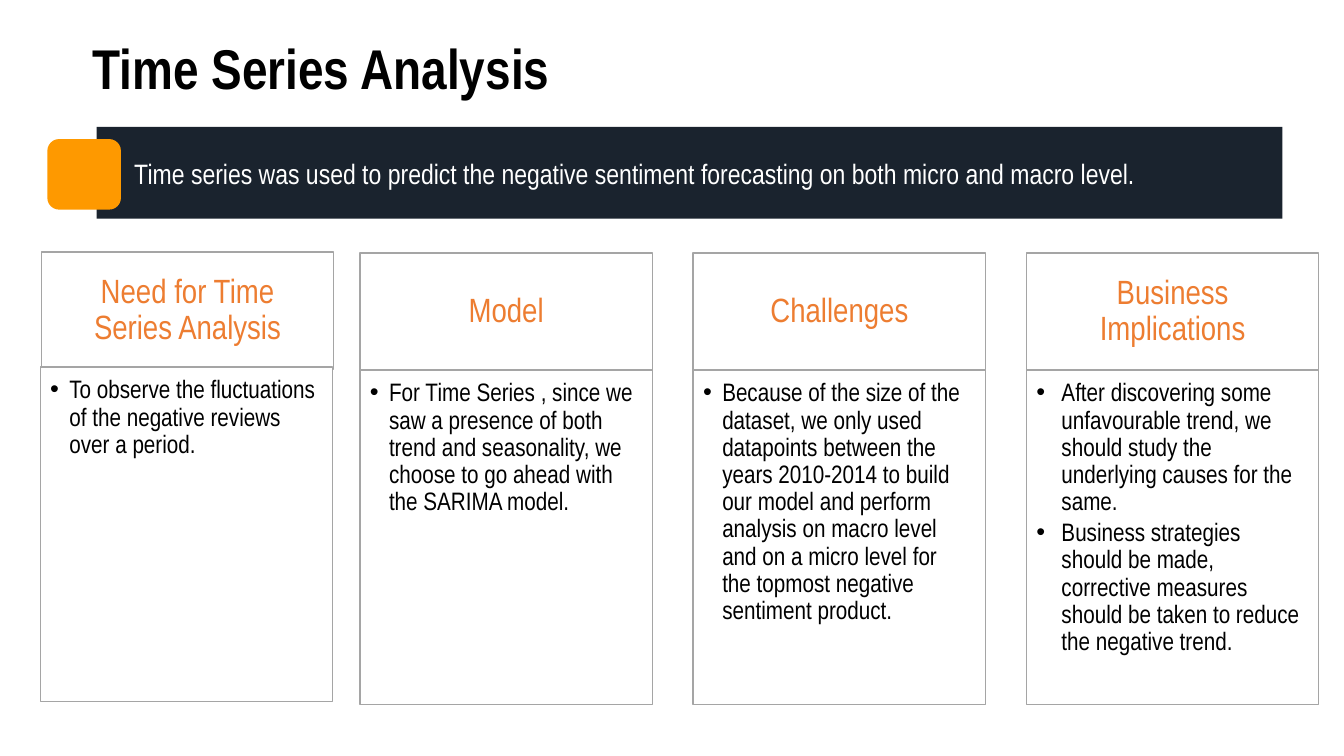
from lxml import etree
from pptx import Presentation
from pptx.dml.color import RGBColor
from pptx.enum.shapes import MSO_SHAPE
from pptx.enum.text import MSO_ANCHOR, PP_ALIGN
from pptx.oxml.ns import qn
from pptx.util import Inches, Pt

RECTANGLE, ROUNDED = MSO_SHAPE.RECTANGLE, MSO_SHAPE.ROUNDED_RECTANGLE
TOP, MIDDLE, BOTTOM = MSO_ANCHOR.TOP, MSO_ANCHOR.MIDDLE, MSO_ANCHOR.BOTTOM
LEFT, CENTER = PP_ALIGN.LEFT, PP_ALIGN.CENTER

TITLE = "Time Series Analysis"
SUMMARY = ("Time series was used to predict the negative sentiment forecasting "
           "on both micro and macro level.")
# heading, bullet points, bullet indent in inches
TOPICS = [
    ("Need for Time Series Analysis",
     ["To observe the fluctuations of the negative reviews over a period."], 0.19),
    ("Model",
     ["For Time Series , since we saw a presence of both trend and seasonality, "
      "we choose to go ahead with the SARIMA model."], 0.19),
    ("Challenges",
     ["Because of the size of the dataset, we only used datapoints between the "
      "years 2010-2014 to build our model and perform analysis on macro level "
      "and on a micro level for the topmost negative sentiment product."], 0.19),
    ("Business Implications",
     ["After discovering some unfavourable trend, we should study the underlying "
      "causes for the same.",
      "Business strategies should be made, corrective measures should be taken "
      "to reduce the negative trend."], 0.25),
]

COLORS = {"navy": "1A232E", "amber": "FE9900", "orange": "ED7D31",
          "grey": "A5A5A5", "white": "FFFFFF", "black": "000000"}
FONT = "Arial Narrow"
SLIDE_W, SLIDE_H = 13.33, 7.5

# Card grid: the first card stands slightly apart from the even pitch of the rest
CARD_W, HEAD_H, BODY_H = 2.9, 1.16, 3.32
CARD_TOP, SECOND_LEFT, PITCH = 2.51, 3.57, 3.305
FIRST_LEFT, FIRST_RISE = 0.41, 0.01
FIRST_BODY_SHIFT = (-0.01, -0.02)

TITLE_FORMAT = {"size": 40, "color": "black", "bold": True, "anchor": BOTTOM,
                "insets": (0, 0.05, 0, 0.05), "line_spacing": 0.9}
SUMMARY_FORMAT = {"size": 20, "color": "white"}
HEAD_FORMAT = {"size": 24, "color": "orange", "anchor": MIDDLE, "align": CENTER,
               "insets": (0.19, 0.11, 0.19, 0.11), "line_spacing": 0.9}
BODY_FORMAT = {"size": 18, "color": "black", "insets": (0.1, 0.1, 0.14, 0.16),
               "line_spacing": 0.9, "space_after": 2.7}


def rgb(name):
    return RGBColor.from_string(COLORS[name])


def add_bullet(paragraph, indent):
    props = paragraph._p.get_or_add_pPr()
    props.set("marL", str(Inches(indent)))
    props.set("indent", str(-Inches(indent)))
    etree.SubElement(props, qn("a:buFont")).set("typeface", "Arial")
    etree.SubElement(props, qn("a:buChar")).set("char", "•")


def write(shape, lines, size, color, bold=False, anchor=TOP, align=LEFT,
          insets=(0, 0, 0, 0), line_spacing=1.0, space_after=0, indent=None):
    frame = shape.text_frame
    frame_format = {"word_wrap": True, "vertical_anchor": anchor}
    for side, inset in zip(("left", "top", "right", "bottom"), insets):
        frame_format[f"margin_{side}"] = Inches(inset)
    for key, value in frame_format.items():
        setattr(frame, key, value)
    paragraph_format = {"alignment": align, "line_spacing": line_spacing,
                        "space_after": Pt(space_after)}
    font_format = {"name": FONT, "size": Pt(size), "bold": bold}
    for number, line in enumerate(lines):
        paragraph = frame.add_paragraph() if number else frame.paragraphs[0]
        if indent:
            add_bullet(paragraph, indent)
        for key, value in paragraph_format.items():
            setattr(paragraph, key, value)
        run = paragraph.add_run()
        run.text = line
        for key, value in font_format.items():
            setattr(run.font, key, value)
        run.font.color.rgb = rgb(color)


def add_block(slide, kind, place, fill, outline=None):
    block = slide.shapes.add_shape(kind, *map(Inches, place))
    block.shadow.inherit = False
    block.fill.solid()
    block.fill.fore_color.rgb = rgb(fill)
    if outline:
        block.line.color.rgb = rgb(outline)
        block.line.width = Pt(1)
    else:
        block.line.fill.background()
    return block


def add_text(slide, place, text, text_format):
    write(slide.shapes.add_textbox(*map(Inches, place)), [text], **text_format)


def add_card(slide, column, heading, points, indent):
    if column:
        left, top, shift = SECOND_LEFT + PITCH * (column - 1), CARD_TOP, (0, 0)
    else:
        left, top, shift = FIRST_LEFT, CARD_TOP - FIRST_RISE, FIRST_BODY_SHIFT
    head = add_block(slide, RECTANGLE, (left, top, CARD_W, HEAD_H), "white", "grey")
    write(head, [heading], **HEAD_FORMAT)
    body_place = (left + shift[0], top + HEAD_H + shift[1], CARD_W, BODY_H)
    body = add_block(slide, RECTANGLE, body_place, "white", "grey")
    write(body, points, indent=indent, **BODY_FORMAT)


def main():
    deck = Presentation()
    deck.slide_width, deck.slide_height = Inches(SLIDE_W), Inches(SLIDE_H)
    slide = deck.slides.add_slide(deck.slide_layouts[6])

    add_block(slide, RECTANGLE, (0.96, 1.26, 11.76, 0.91), "navy")
    add_text(slide, (0.92, 0.33, 11.49, 0.73), TITLE, TITLE_FORMAT)
    add_text(slide, (1.33, 1.55, 11.67, 0.4), SUMMARY, SUMMARY_FORMAT)
    add_block(slide, ROUNDED, (0.47, 1.38, 0.73, 0.7), "amber")
    for column, (heading, points, indent) in enumerate(TOPICS):
        add_card(slide, column, heading, points, indent)

    deck.save("out.pptx")


if __name__ == "__main__":
    main()
